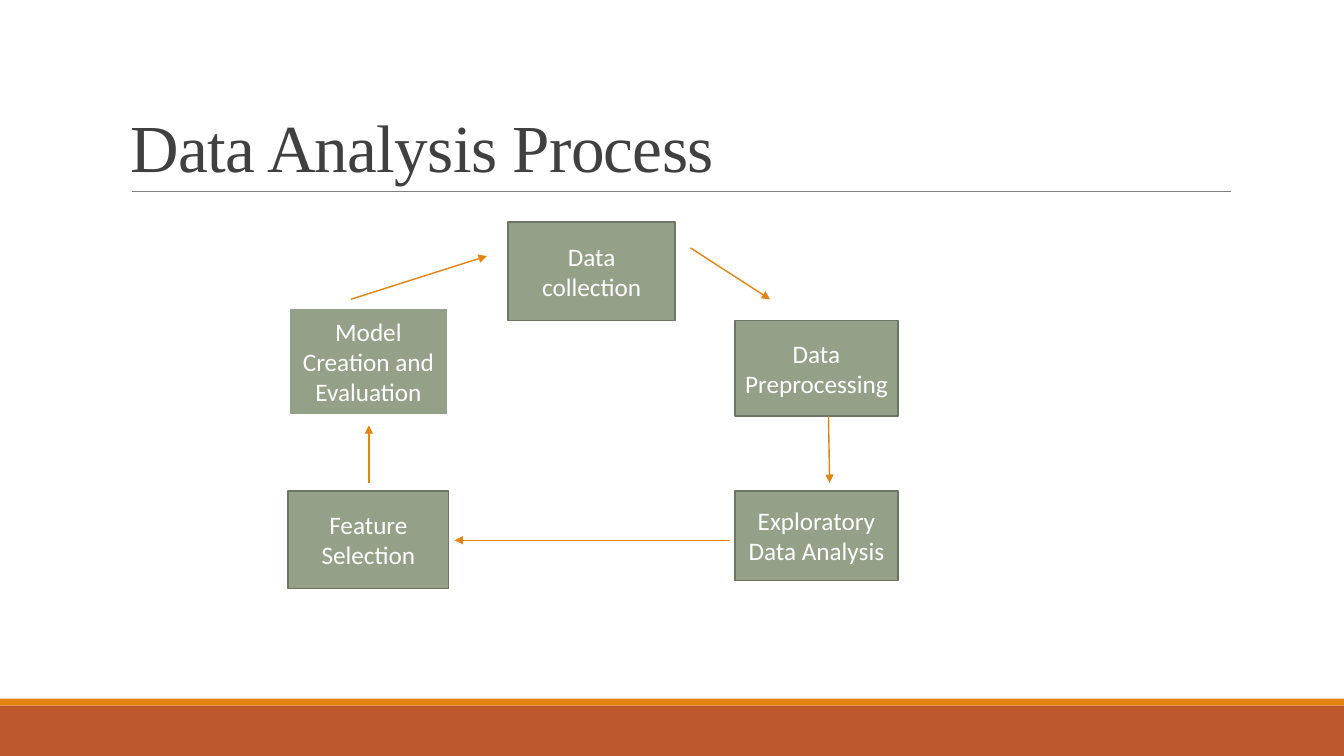
"""Build the Data Analysis Process slide: five steps in a cycle."""
from lxml import etree
from pptx import Presentation
from pptx.dml.color import RGBColor
from pptx.enum.shapes import MSO_CONNECTOR, MSO_SHAPE
from pptx.enum.text import MSO_ANCHOR, PP_ALIGN
from pptx.oxml.ns import qn
from pptx.util import Pt

STRAIGHT, RECTANGLE = MSO_CONNECTOR.STRAIGHT, MSO_SHAPE.RECTANGLE
MIDDLE, BOTTOM = MSO_ANCHOR.MIDDLE, MSO_ANCHOR.BOTTOM
LEFT, CENTER = PP_ALIGN.LEFT, PP_ALIGN.CENTER

WHITE = RGBColor(0xFF, 0xFF, 0xFF)
CHARCOAL = RGBColor(0x40, 0x40, 0x40)
GRAY = RGBColor(0x80, 0x80, 0x80)
SAGE = RGBColor(0x94, 0xA0, 0x88)
MOSS = RGBColor(0x6D, 0x76, 0x65)
ORANGE = RGBColor(0xE4, 0x83, 0x12)
RUST = RGBColor(0xBD, 0x58, 0x2C)

SLIDE_W, SLIDE_H = 960, 540
RUST_H, ORANGE_H = 36, 5
TITLE = "Data Analysis Process"
TITLE_BOX = (86.4, 22.3, 792, 114.5)
TITLE_RULE = ((94.3, 136.8), (879.1, 136.8))

LEFT_X, LEFT_W = 205.9, 114.5
RIGHT_X, RIGHT_W = 524.9, 116.6
LOWER_Y = 350.6
STEPS = [
    ("Data collection", (362.9, 158.4, 119.5, 70.6), MOSS, 1.25),
    ("Data Preprocessing", (RIGHT_X, 229, RIGHT_W, 68.4), MOSS, 1.25),
    ("Exploratory Data Analysis", (RIGHT_X, LOWER_Y, RIGHT_W, 64.1), MOSS, 1.25),
    ("Feature Selection", (LEFT_X, LOWER_Y, LEFT_W, 69.8), MOSS, 1.25),
    ("Model Creation and Evaluation", (LEFT_X, 219.6, LEFT_W, 77), WHITE, 2),
]
ARROWS = [
    ((493.2, 177.1), (550.1, 213.8)),
    ((591.8, 297.4), (592.6, 344.9)),
    ((521.3, 385.9), (324.7, 385.9)),
    ((263.5, 344.9), (263.5, 303.8)),
    ((250.6, 213.8), (347.8, 182.9)),
]


def write(shape, text, *, size, font, color, align, anchor, spacing=1.0, tracking=0):
    frame = shape.text_frame
    frame.word_wrap = True
    frame.vertical_anchor = anchor
    paragraph = frame.paragraphs[0]
    paragraph.alignment = align
    paragraph.line_spacing = spacing
    run = paragraph.add_run()
    run.text = text
    run.font.size = Pt(size)
    run.font.name = font
    run.font.color.rgb = color
    if tracking:
        run.font._element.set("spc", str(round(tracking * 100)))


def add_box(slide, bounds, fill, line=None, weight=0):
    box = slide.shapes.add_shape(RECTANGLE, *map(Pt, bounds))
    box.shadow.inherit = False
    box.fill.solid()
    box.fill.fore_color.rgb = fill
    if line is None:
        box.line.fill.background()
    else:
        box.line.color.rgb = line
        box.line.width = Pt(weight)
    return box


def add_line(slide, start, end, color, weight, arrow=False):
    line = slide.shapes.add_connector(STRAIGHT, *map(Pt, start + end))
    line.line.color.rgb = color
    line.line.width = Pt(weight)
    if arrow:
        outline = line.line._get_or_add_ln()
        etree.SubElement(outline, qn("a:tailEnd"), type="triangle")
    etree.SubElement(line._element.spPr, qn("a:effectLst"))


def main():
    deck = Presentation()
    deck.slide_width, deck.slide_height = Pt(SLIDE_W), Pt(SLIDE_H)
    slide = deck.slides.add_slide(deck.slide_layouts[6])

    rust_top = SLIDE_H - RUST_H
    add_box(slide, (0, rust_top, SLIDE_W, RUST_H), RUST)
    add_box(slide, (0, rust_top - ORANGE_H, SLIDE_W, ORANGE_H), ORANGE)

    add_line(slide, *TITLE_RULE, GRAY, 0.5)
    title = slide.shapes.add_textbox(*map(Pt, TITLE_BOX))
    write(title, TITLE, size=48, font="Times New Roman", color=CHARCOAL,
          align=LEFT, anchor=BOTTOM, spacing=0.85, tracking=-0.5)

    for label, bounds, outline, weight in STEPS:
        step = add_box(slide, bounds, SAGE, outline, weight)
        write(step, label, size=18, font="Calibri", color=WHITE,
              align=CENTER, anchor=MIDDLE)
    for start, end in ARROWS:
        add_line(slide, start, end, ORANGE, 1, arrow=True)

    deck.save("out.pptx")


if __name__ == "__main__":
    main()
